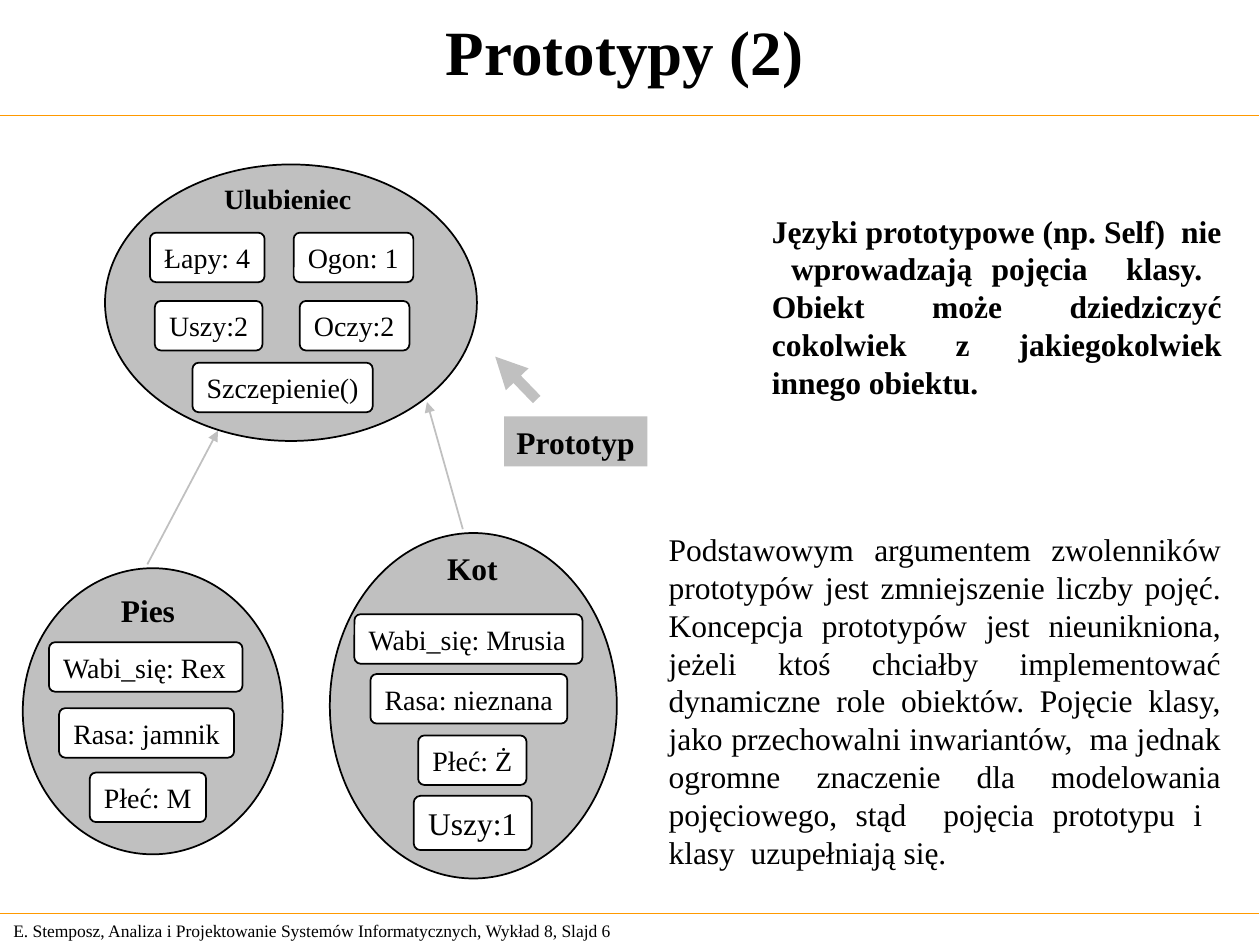
from pptx import Presentation
from pptx.dml.color import RGBColor
from pptx.enum.shapes import MSO_CONNECTOR, MSO_SHAPE
from pptx.enum.text import MSO_ANCHOR, PP_ALIGN
from pptx.oxml.ns import qn
from pptx.util import Pt
from lxml import etree

# Content: positions and sizes in points
TITLE = "Prototypy (2)"
FOOTER = "E. Stemposz, Analiza i Projektowanie Systemów Informatycznych, Wykład 8, Slajd 6"
LANGUAGES = ("Języki prototypowe (np. Self)  nie  wprowadzają pojęcia  klasy.  "
             "Obiekt może dziedziczyć cokolwiek z jakiegokolwiek innego obiektu.")
ARGUMENT = ("Podstawowym argumentem zwolenników prototypów jest zmniejszenie liczby pojęć. "
            "Koncepcja prototypów jest nieunikniona, jeżeli ktoś chciałby implementować "
            "dynamiczne role obiektów. Pojęcie klasy, jako przechowalni inwariantów,  "
            "ma jednak ogromne znaczenie dla modelowania pojęciowego, stąd  "
            "pojęcia prototypu i  klasy  uzupełniają się.")

# Each object: ellipse, name (text, left, top, width, size key), slots (text, left, top, width)
OBJECTS = [
    {"ellipse": (60, 94, 212.5, 158),
     "name": ("Ulubieniec", 121, 100, 87, "slot"),
     "slots": [("Łapy: 4", 85.7, 133, 65.5), ("Ogon: 1", 167.8, 133, 68.4),
               ("Uszy:2", 88.5, 172, 61.5), ("Oczy:2", 171.3, 172, 62.7),
               ("Szczepienie()", 110, 207.3, 103)]},
    {"ellipse": (13, 324.7, 148.5, 163.5),
     "name": ("Pies", 62, 334, 45.4, "body"),
     "slots": [("Wabi_się: Rex", 28, 367, 110.6), ("Rasa: jamnik", 33.8, 404.7, 100),
               ("Płeć: M", 51.3, 441.5, 66.5)]},
    {"ellipse": (188.5, 304.6, 164, 197.4),
     "name": ("Kot", 248.4, 310.3, 43.2, "body"),
     "slots": [("Wabi_się: Mrusia", 202.5, 351, 130.3), ("Rasa: nieznana", 211.7, 385.2, 112.5),
               ("Płeć: Ż", 239, 420.3, 61.9)]},
]
OVERRIDDEN_SLOT = ("Uszy:1", 236.4, 454.8, 67.5)
PROTOTYPE_LABEL = ("Prototyp", 288, 238, 82, 28.5)
INHERITANCE = [((264.5, 302.4), (244, 229.7)), ((84.2, 322.5), (124.5, 246.2))]
PROTOTYPE_POINTER = ((306.7, 228.3), (283, 203.8))
RULES = (66, 522)

THEME = {
    "font": "Times New Roman",
    "ink": RGBColor(0, 0, 0), "paper": RGBColor(255, 255, 255),
    "grey": RGBColor(0xC0, 0xC0, 0xC0), "rule": RGBColor(0xFF, 0x99, 0),
    "size": {"title": 36, "body": 18, "slot": 16, "footer": 10},
}
SLOT_HEIGHT = {"slot": 28.3, "body": 31}

prs = Presentation()
prs.slide_width, prs.slide_height = Pt(720), Pt(540)
slide = prs.slides.add_slide(prs.slide_layouts[6])


def write(holder, text, size, bold=False, align=PP_ALIGN.LEFT, wrap=False,
          anchor=MSO_ANCHOR.TOP):
    frame = holder.text_frame
    frame.text = text
    frame.word_wrap = wrap
    frame.vertical_anchor = anchor
    paragraph = frame.paragraphs[0]
    paragraph.alignment = align
    font = paragraph.runs[0].font
    font.name, font.size, font.bold = THEME["font"], Pt(THEME["size"][size]), bold
    font.color.rgb = THEME["ink"]


def add_text(box, text, size, **style):
    write(slide.shapes.add_textbox(*map(Pt, box)), text, size, **style)


def add_outline(kind, box, fill, outlined=True):
    shape = slide.shapes.add_shape(kind, *map(Pt, box))
    shape.shadow.inherit = False
    shape.fill.solid()
    shape.fill.fore_color.rgb = THEME[fill]
    if outlined:
        shape.line.color.rgb = THEME["ink"]
        shape.line.width = Pt(1)
    else:
        shape.line.fill.background()
    return shape


def add_slot(text, left, top, width, size="slot"):
    slot = add_outline(MSO_SHAPE.ROUNDED_RECTANGLE,
                       (left, top, width, SLOT_HEIGHT[size]), "paper")
    slot.adjustments[0] = 0.125
    write(slot, text, size)


def add_line(start, end, color, width, arrow=False):
    line = slide.shapes.add_connector(MSO_CONNECTOR.STRAIGHT, *map(Pt, start + end))
    line.line.color.rgb = THEME[color]
    line.line.width = Pt(width)
    if arrow:
        etree.SubElement(line.line._get_or_add_ln(), qn("a:tailEnd"), type="triangle")
    etree.SubElement(line._element.spPr, qn("a:effectLst"))


# Page frame: footer, rules, title
add_text((0.5, 522, 377.5, 19.5), FOOTER, "footer", wrap=True, anchor=MSO_ANCHOR.MIDDLE)
for y in RULES:
    add_line((-0.5, y), (719.5, y), "rule", 0.75)
add_text((0, -2, 714, 61), TITLE, "title", bold=True, wrap=True,
         align=PP_ALIGN.CENTER, anchor=MSO_ANCHOR.MIDDLE)

# Explanations on the right
add_text((375, 299.5, 330, 201.6), ARGUMENT, "body", wrap=True, align=PP_ALIGN.JUSTIFY)
add_text((434, 117.4, 271.3, 115.2), LANGUAGES, "body", bold=True, wrap=True,
         align=PP_ALIGN.JUSTIFY)

# Inheritance arrows and the prototype marker
for child, parent in INHERITANCE:
    add_line(child, parent, "grey", 1, arrow=True)
label, *label_box = PROTOTYPE_LABEL
write(add_outline(MSO_SHAPE.RECTANGLE, label_box, "grey", outlined=False),
      label, "body", bold=True)
add_line(*PROTOTYPE_POINTER, "grey", 6, arrow=True)

# Objects with their slots
for item in OBJECTS:
    add_outline(MSO_SHAPE.OVAL, item["ellipse"], "grey")
    name, left, top, width, size = item["name"]
    add_text((left, top, width, SLOT_HEIGHT[size]), name, size, bold=True)
    for slot in item["slots"]:
        add_slot(*slot)
add_slot(*OVERRIDDEN_SLOT, size="body")

prs.save("out.pptx")
